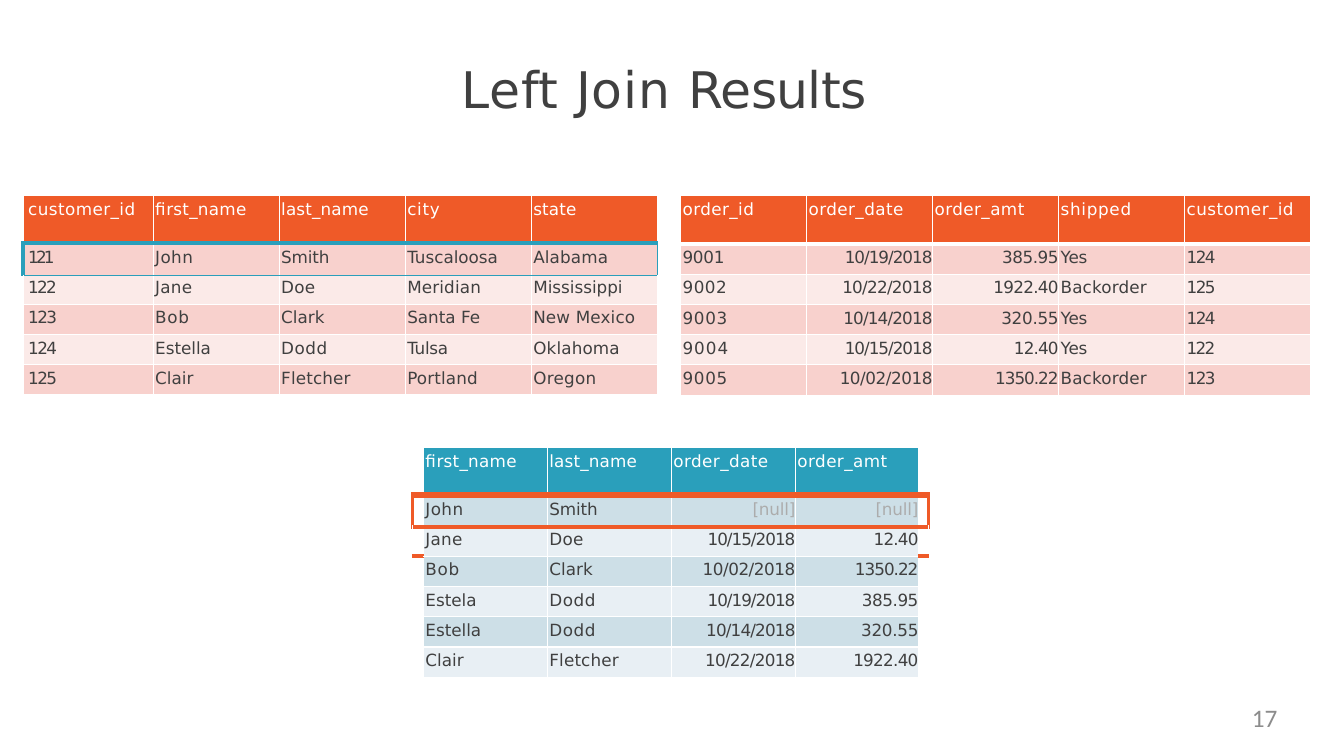
from lxml import etree
from pptx import Presentation
from pptx.dml.color import RGBColor
from pptx.enum.text import PP_ALIGN
from pptx.oxml.ns import qn
from pptx.util import Inches, Pt

LEFT, RIGHT = PP_ALIGN.LEFT, PP_ALIGN.RIGHT
ORANGE, TEAL, WHITE = "EF5A28", "2A9FBB", "FFFFFF"
DARK, MUTED = "404040", "ACACAC"
PINK_BANDS = ("FBEAE8", "F8D1CD")
BLUE_BANDS = ("E8EFF4", "CDDFE7")

# Letter spacing in hundredths of a point
SPACING = {
    "customer_id": 30, "order_id": 30, "order_date": 30, "order_amt": 30,
    "first_name": 20, "last_name": 10, "city": 50, "state": 10, "shipped": 50,
    "121": -200, "122": -120, "123": -110, "124": -110, "125": -110,
    "9001": -20, "9002": 40, "9003": 50, "9004": 70, "9005": 50,
    "John": 30, "Jane": 20, "Bob": 50, "Smith": -10, "Doe": 20, "Dodd": 40,
    "Fletcher": 10, "Alabama": 10, "Meridian": 10, "New Mexico": 10,
    "Tulsa": -20, "Oklahoma": 10, "Portland": 10, "Oregon": 20,
    "Yes": -10, "Backorder": 10, "[null]": -10,
    "10/19/2018": -70, "10/22/2018": -50, "10/14/2018": -60,
    "10/15/2018": -70, "10/02/2018": -30,
    "385.95": -30, "1922.40": -50, "320.55": -20, "12.40": -60, "1350.22": -70,
}

CUSTOMERS = [
    ("customer_id", "first_name", "last_name", "city", "state"),
    ("121", "John", "Smith", "Tuscaloosa", "Alabama"),
    ("122", "Jane", "Doe", "Meridian", "Mississippi"),
    ("123", "Bob", "Clark", "Santa Fe", "New Mexico"),
    ("124", "Estella", "Dodd", "Tulsa", "Oklahoma"),
    ("125", "Clair", "Fletcher", "Portland", "Oregon"),
]
ORDERS = [
    ("order_id", "order_date", "order_amt", "shipped", "customer_id"),
    ("9001", "10/19/2018", "385.95", "Yes", "124"),
    ("9002", "10/22/2018", "1922.40", "Backorder", "125"),
    ("9003", "10/14/2018", "320.55", "Yes", "124"),
    ("9004", "10/15/2018", "12.40", "Yes", "122"),
    ("9005", "10/02/2018", "1350.22", "Backorder", "123"),
]
# The empty outer columns let the highlight frame overhang the data
JOINED = [
    ("", "first_name", "last_name", "order_date", "order_amt", ""),
    ("", "John", "Smith", "[null]", "[null]", ""),
    ("", "Jane", "Doe", "10/15/2018", "12.40", ""),
    ("", "Bob", "Clark", "10/02/2018", "1350.22", ""),
    ("", "Estela", "Dodd", "10/19/2018", "385.95", ""),
    ("", "Estella", "Dodd", "10/14/2018", "320.55", ""),
    ("", "Clair", "Fletcher", "10/22/2018", "1922.40", ""),
]

FRAMED_ROWS = [0.47, 0.32, 0.29]
FRAMED_INSETS = {1: 0.05, 2: 0.03}
# The rules are the borders around the first data row, in points
TABLES = [
    dict(rows=ORDERS, left=6.75, top=1.94, cols=[1.25] * 5, heights=[0.48],
         insets={}, head=ORANGE, bands=PINK_BANDS, right_cols=(1, 2),
         first_indent=0.02, frame=WHITE, rules=dict(L=1, R=1, T=3, B=1)),
    dict(rows=CUSTOMERS, left=0.23, top=1.94, cols=[1.29] + [1.25] * 4, heights=FRAMED_ROWS,
         insets=FRAMED_INSETS, head=ORANGE, bands=PINK_BANDS, right_cols=(),
         first_indent=0.05, frame=TEAL, rules=dict(L=3, R=1, T=3, B=1)),
    dict(rows=JOINED, left=4.09, top=4.44, cols=[0.11, 1.23, 1.23, 1.23, 1.22, 0.1],
         heights=FRAMED_ROWS, insets=FRAMED_INSETS, head=TEAL, bands=BLUE_BANDS,
         right_cols=(3, 4), first_indent=0, frame=ORANGE, rules=dict(L=3, R=3, T=4.25, B=3)),
]


def add_run(p, text, size=12, color=DARK, font="DejaVu Sans", spacing=0, align=LEFT):
    p.alignment = align
    r = p.add_run()
    r.text = text
    r.font.size = Pt(size)
    r.font.name = font
    r.font.color.rgb = RGBColor.from_string(color)
    if spacing:
        r.font._element.set("spc", str(spacing))


def set_borders(cell, borders):
    """Draw the L, R, T and B borders; call before the cell is filled."""
    tc_pr = cell._tc.get_or_add_tcPr()
    for side, (color, width) in borders.items():
        ln = etree.SubElement(tc_pr, qn(f"a:ln{side}"), w=str(Pt(width)))
        fill = etree.SubElement(ln, qn("a:solidFill"))
        etree.SubElement(fill, qn("a:srgbClr"), val=color)


prs = Presentation()
prs.slide_width, prs.slide_height = Inches(13.33), Inches(7.5)
s = prs.slides.add_slide(prs.slide_layouts[6])

# Title and page number
frames = []
for box in [(4.57, 0.57, 4.1, 0.63), (9.6, 6.97, 3.07, 0.38)]:
    tf = s.shapes.add_textbox(*map(Inches, box)).text_frame
    tf.word_wrap = True
    tf.margin_left = tf.margin_right = tf.margin_top = tf.margin_bottom = 0
    frames.append(tf)
title, page_number = frames
title.margin_left = title.margin_top = Inches(0.01)
for word, spacing in [("Left ", 50), ("Join ", 70), ("Results", -50)]:
    add_run(title.paragraphs[0], word, size=36, spacing=spacing)
add_run(page_number.paragraphs[0], "17", size=18, color="8C8C8C", font="Calibri", align=RIGHT)

# Source tables and join result
for t in TABLES:
    rows, cols, rules = t["rows"], t["cols"], t["rules"]
    heights = t["heights"] + [0.3] * (len(rows) - len(t["heights"]))
    table = s.shapes.add_table(
        len(rows), len(cols), Inches(t["left"]), Inches(t["top"]),
        Inches(sum(cols)), Inches(sum(heights))).table
    table.first_row = table.horz_banding = False
    for column, width in zip(table.columns, cols):
        column.width = Inches(width)
    for i, row in enumerate(rows):
        table.rows[i].height = Inches(heights[i])
        for j, text in enumerate(row):
            cell = table.cell(i, j)
            cell.margin_left = Inches(0.02 if j else t["first_indent"])
            cell.margin_top = Inches(t["insets"].get(i, 0.04) if text else 0)
            cell.margin_right = cell.margin_bottom = 0

            borders = {side: (WHITE, 1) for side in "LRTB"}
            if i == 0:
                borders["B"] = (t["frame"], rules["T"])
            elif i == 1:
                borders["T"] = (t["frame"], rules["T"])
                borders["B"] = (t["frame"], rules["B"])
                if j == 0:
                    borders["L"] = (t["frame"], rules["L"])
                if j == len(cols) - 1:
                    borders["R"] = (t["frame"], rules["R"])
            elif i == 2:
                borders["T"] = (t["frame"], rules["B"])
            if not text and i in (2, 3):
                borders["B" if i == 2 else "T"] = (t["frame"], rules["B"])
            set_borders(cell, borders)

            p = cell.text_frame.paragraphs[0]
            if not text:
                cell.fill.background()
                etree.SubElement(p._p, qn("a:endParaRPr"), sz="1000")
                continue
            cell.fill.solid()
            cell.fill.fore_color.rgb = RGBColor.from_string(t["bands"][i % 2] if i else t["head"])
            color = WHITE if i == 0 else MUTED if text == "[null]" else DARK
            add_run(p, text, color=color, spacing=SPACING.get(text, 0),
                    align=RIGHT if i and j in t["right_cols"] else LEFT)

prs.save("out.pptx")
